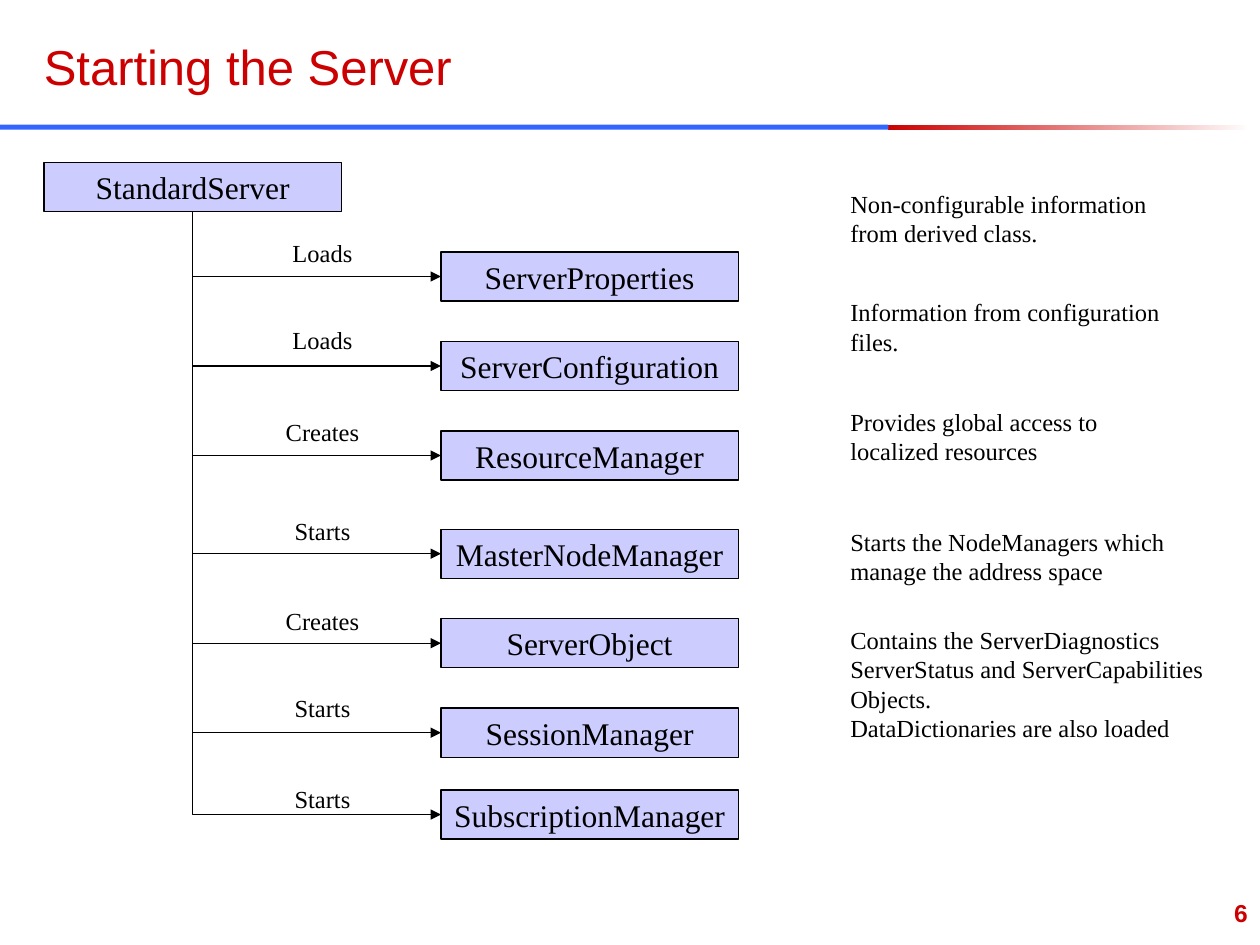
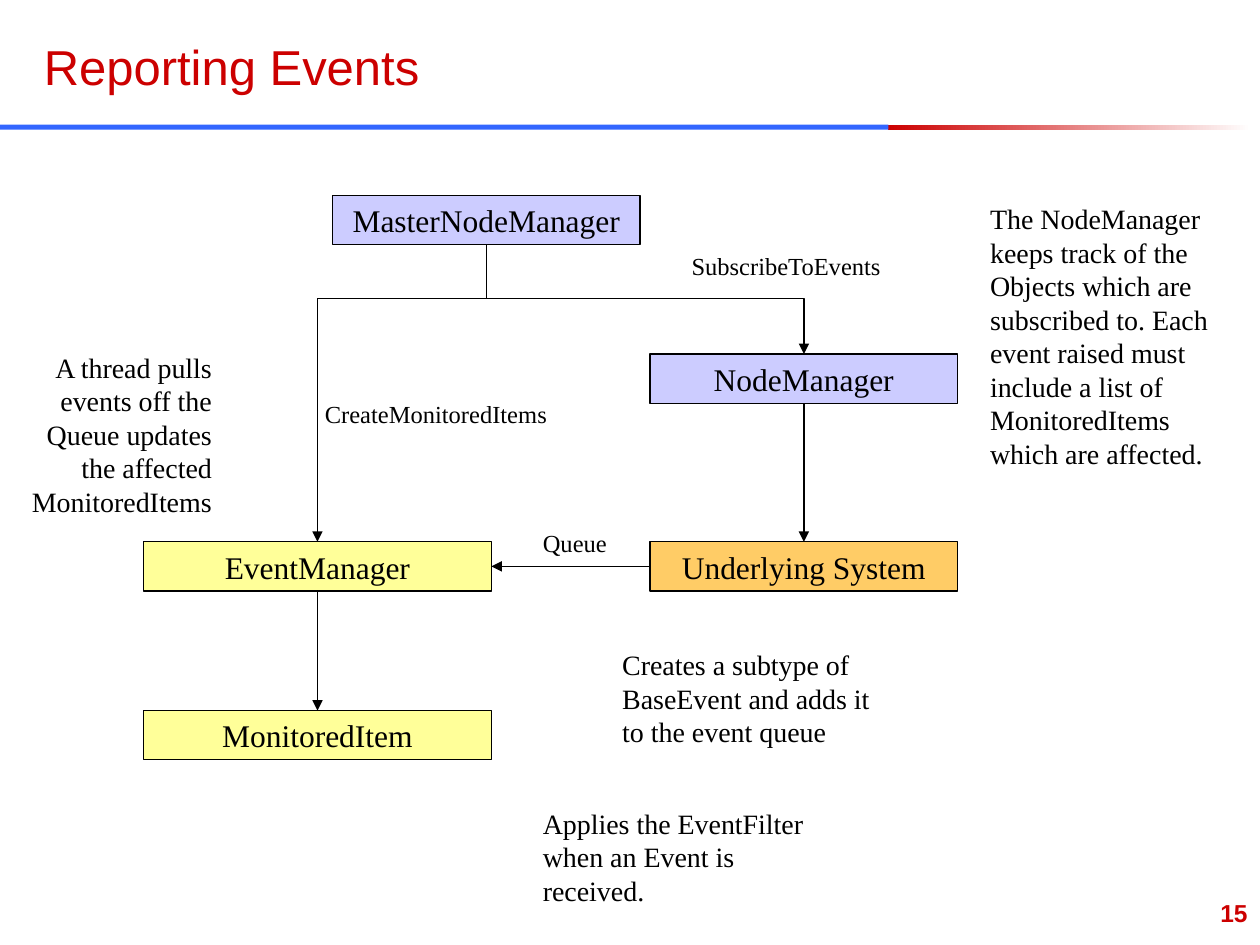
"""Build two slides on starting a server and reporting its events."""
from dataclasses import dataclass

from lxml import etree
from pptx import Presentation
from pptx import util as u
from pptx.dml.color import RGBColor
from pptx.enum import shapes, text
from pptx.oxml.ns import qn

COLORS = {
    "red": "CC0000", "blue": "3366FF", "white": "FFFFFF", "black": "000000",
    "lavender": "CCCCFF", "yellow": "FFFF99", "orange": "FFCC66",
}
FORMATS = {
    "title": {"name": "Arial", "size": u.Pt(28), "bold": False},
    "number": {"name": "Arial", "size": u.Pt(14), "bold": True},
    "box": {"name": "Times New Roman", "size": u.Pt(18), "bold": False},
    "small": {"name": "Times New Roman", "size": u.Pt(14), "bold": False},
    "note": {"name": "Times New Roman", "size": u.Pt(16), "bold": False},
}
LEFT, CENTER, RIGHT = text.PP_ALIGN.LEFT, text.PP_ALIGN.CENTER, text.PP_ALIGN.RIGHT
TOP, MIDDLE, BOTTOM = (text.MSO_ANCHOR.TOP, text.MSO_ANCHOR.MIDDLE,
                       text.MSO_ANCHOR.BOTTOM)
BOX_HEIGHT = 0.39
LABEL_HEIGHT = 0.34
FORK_DROP = 0.43
SIDE_TOP, SIDE_LEFT, SIDE_BOTTOM, SIDE_RIGHT = range(4)


@dataclass
class Box:
    words: str
    left: float
    top: float
    width: float
    color: str = "lavender"


@dataclass
class Caption:
    words: str
    left: float
    top: float
    width: float
    height: float = LABEL_HEIGHT
    style: str = "small"
    align: int = LEFT
    anchor: int = TOP
    color: str = "black"


@dataclass
class Step:
    action: str
    action_top: float
    target: str
    target_top: float


STEPS = [
    Step("Loads", 1.84, "ServerProperties", 2),
    Step("Loads", 2.53, "ServerConfiguration", 2.71),
    Step("Creates", 3.26, "ResourceManager", 3.42),
    Step("Starts", 4.05, "MasterNodeManager", 4.2),
    Step("Creates", 4.76, "ServerObject", 4.91),
    Step("Starts", 5.45, "SessionManager", 5.62),
    Step("Starts", 6.17, "SubscriptionManager", 6.27),
]
STARTUP_NOTES = [
    Caption("Non-configurable information from derived class.", 6.65, 1.45, 2.68, 0.67),
    Caption("Information from configuration files.", 6.65, 2.31, 2.68, 0.55),
    Caption("Provides global access to localized resources", 6.65, 3.18, 2.68, 0.55),
    Caption("Starts the NodeManagers which manage the address space",
            6.65, 4.13, 2.76, 0.55),
    Caption("Contains the ServerDiagnostics\n"
            "ServerStatus and ServerCapabilities Objects.\n"
            "DataDictionaries are also loaded", 6.65, 4.91, 3.07, 1.02),
]
EVENT_BOXES = [
    Box("MasterNodeManager", 2.64, 1.55, 2.44),
    Box("NodeManager", 5.16, 2.81, 2.44),
    Box("Underlying System", 5.16, 4.3, 2.44, "orange"),
    Box("EventManager", 1.14, 4.3, 2.76, "yellow"),
    Box("MonitoredItem", 1.14, 5.64, 2.76, "yellow"),
]
EVENT_CAPTIONS = [
    Caption("SubscribeToEvents", 5.39, 1.94, 1.9),
    Caption("CreateMonitoredItems", 2.48, 3.12, 2.2),
    Caption("Queue", 4.21, 4.14, 0.9),
    Caption("A thread pulls events off the Queue updates the affected MonitoredItems",
            0.04, 2.73, 1.74, 1.42, "note", RIGHT),
    Caption("The NodeManager keeps track of the Objects which are subscribed to. "
            "Each event raised must include a list of MonitoredItems which are "
            "affected.", 7.76, 1.55, 2.13, 2.28, "note"),
    Caption("Creates a subtype of BaseEvent and adds it to the event queue",
            4.84, 5.09, 2.36, 0.87, "note"),
    Caption("Applies the EventFilter when an Event is received.",
            4.21, 6.35, 2.36, 0.87, "note"),
]


def rgb(color: str) -> RGBColor:
    """Return a named colour."""
    return RGBColor.from_string(COLORS[color])


def write(frame, words: str, style: str, align: int, anchor: int,
          color: str = "black", wrap: bool = True) -> None:
    """Fill a text frame with formatted paragraphs."""
    frame.word_wrap = wrap
    frame.vertical_anchor = anchor
    for index, line in enumerate(words.split("\n")):
        paragraph = frame.add_paragraph() if index else frame.paragraphs[0]
        paragraph.alignment = align
        run = paragraph.add_run()
        run.text = line
        run.font.color.rgb = rgb(color)
        for attribute, value in FORMATS[style].items():
            setattr(run.font, attribute, value)


def add_caption(slide, caption: Caption) -> None:
    """Add a text box."""
    shape = slide.shapes.add_textbox(*map(u.Inches, (
        caption.left, caption.top, caption.width, caption.height)))
    write(shape.text_frame, caption.words, caption.style, caption.align,
          caption.anchor, caption.color)


def add_rectangle(slide, left: float, top: float, width: float, height: float):
    """Add a rectangle without a shadow."""
    shape = slide.shapes.add_shape(shapes.MSO_SHAPE.RECTANGLE,
                                   *map(u.Inches, (left, top, width, height)))
    shape.shadow.inherit = False
    return shape


def add_box(slide, box: Box):
    """Add an outlined box with its name in the centre."""
    shape = add_rectangle(slide, box.left, box.top, box.width, BOX_HEIGHT)
    shape.fill.solid()
    shape.fill.fore_color.rgb = rgb(box.color)
    shape.line.color.rgb = rgb("black")
    shape.line.width = u.Pt(0.75)
    write(shape.text_frame, box.words, "box", CENTER, MIDDLE, wrap=False)
    return shape


def add_arrow(slide, source, target, start: int, end: int,
              kind: int = shapes.MSO_CONNECTOR.STRAIGHT):
    """Join two boxes with an arrow."""
    connector = slide.shapes.add_connector(kind, 0, 0, 0, 0)
    connector.begin_connect(source, start)
    connector.end_connect(target, end)
    connector.line.color.rgb = rgb("black")
    connector.line.width = u.Pt(0.75)
    properties = connector._element.spPr
    etree.SubElement(properties.find(qn("a:ln")), qn("a:tailEnd"), type="triangle")
    etree.SubElement(properties, qn("a:effectLst"))
    return connector


def add_elbow(slide, source, target, end: int, drop: float = 0) -> None:
    """Join boxes by an arrow that leaves downwards and turns, twice after a drop."""
    connector = add_arrow(slide, source, target, SIDE_BOTTOM, end,
                          shapes.MSO_CONNECTOR.ELBOW)
    across = connector.end_x - connector.begin_x
    down = connector.end_y - connector.begin_y
    middle_x = (connector.begin_x + connector.end_x) // 2
    middle_y = (connector.begin_y + connector.end_y) // 2
    connector.left, connector.top = middle_x - down // 2, middle_y - abs(across) // 2
    connector.width, connector.height = down, abs(across)
    properties = connector._element.spPr
    frame = properties.find(qn("a:xfrm"))
    frame.set("rot", "16200000" if across > 0 else "5400000")
    frame.set("flipH", "1" if across > 0 else "0")
    geometry = properties.find(qn("a:prstGeom"))
    if drop:
        etree.SubElement(geometry.find(qn("a:avLst")), qn("a:gd"), name="adj1",
                         fmla=f"val {round(u.Inches(drop) / down * 100000)}")
    else:
        geometry.set("prst", "bentConnector2")


def add_slide(presentation, title: str, number: int):
    """Add a blank slide with the shared bands, title and number."""
    slide = presentation.slides.add_slide(presentation.slide_layouts[6])
    fade = add_rectangle(slide, 7.05, 0.99, 2.88, 0.04)
    fade.fill.gradient()
    fade.fill.gradient_angle = 180
    for stop, color in zip(fade.fill.gradient_stops, ("white", "red")):
        stop.color.rgb = rgb(color)
    band = add_rectangle(slide, 0, 0.99, 7.05, 0.04)
    band.fill.solid()
    band.fill.fore_color.rgb = rgb("blue")
    for shape in (fade, band):
        shape.line.fill.background()
    add_caption(slide, Caption(title, 0.25, 0.25, 6.83, 0.56, "title",
                               anchor=BOTTOM, color="red"))
    add_caption(slide, Caption(str(number), 7.92, 7.08, 2.08, 0.42, "number",
                               RIGHT, color="red"))
    return slide


def build_startup(presentation) -> None:
    """Build the slide on starting the server."""
    slide = add_slide(presentation, "Starting the Server", 6)
    server = add_box(slide, Box("StandardServer", 0.35, 1.29, 2.36))
    for step in STEPS:
        target = add_box(slide, Box(step.target, 3.5, step.target_top, 2.36))
        add_elbow(slide, server, target, SIDE_LEFT)
        add_caption(slide, Caption(step.action, 2.06, step.action_top, 1,
                                   align=CENTER))
    for note in STARTUP_NOTES:
        add_caption(slide, note)


def build_events(presentation) -> None:
    """Build the slide on reporting events."""
    slide = add_slide(presentation, "Reporting Events", 15)
    master, node, system, events, item = [add_box(slide, box) for box in EVENT_BOXES]
    for target in (node, events):
        add_elbow(slide, master, target, SIDE_TOP, FORK_DROP)
    add_arrow(slide, node, system, SIDE_BOTTOM, SIDE_TOP)
    add_arrow(slide, system, events, SIDE_LEFT, SIDE_RIGHT)
    add_arrow(slide, events, item, SIDE_BOTTOM, SIDE_TOP)
    for caption in EVENT_CAPTIONS:
        add_caption(slide, caption)


def main() -> None:
    """Build and save the presentation."""
    presentation = Presentation()
    presentation.slide_width = u.Inches(10)
    presentation.slide_height = u.Inches(7.5)
    build_startup(presentation)
    build_events(presentation)
    presentation.save("out.pptx")


if __name__ == "__main__":
    main()
